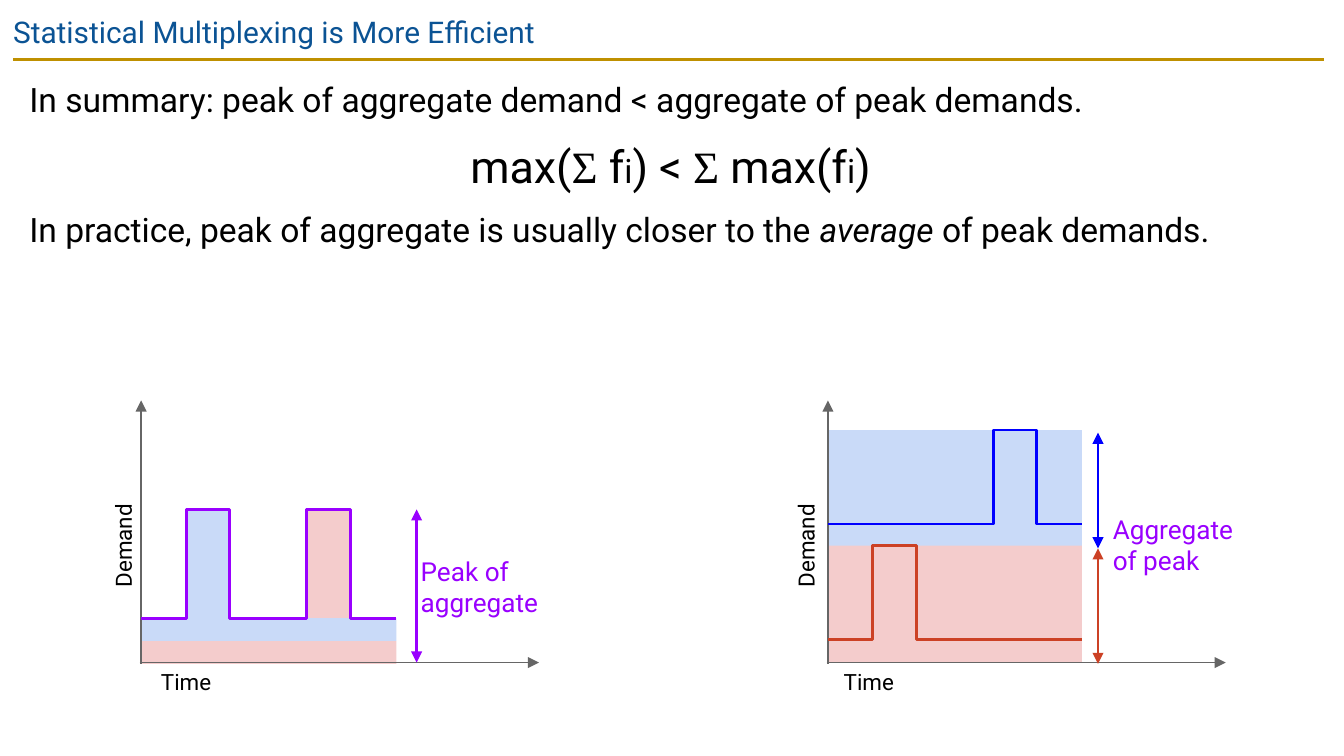
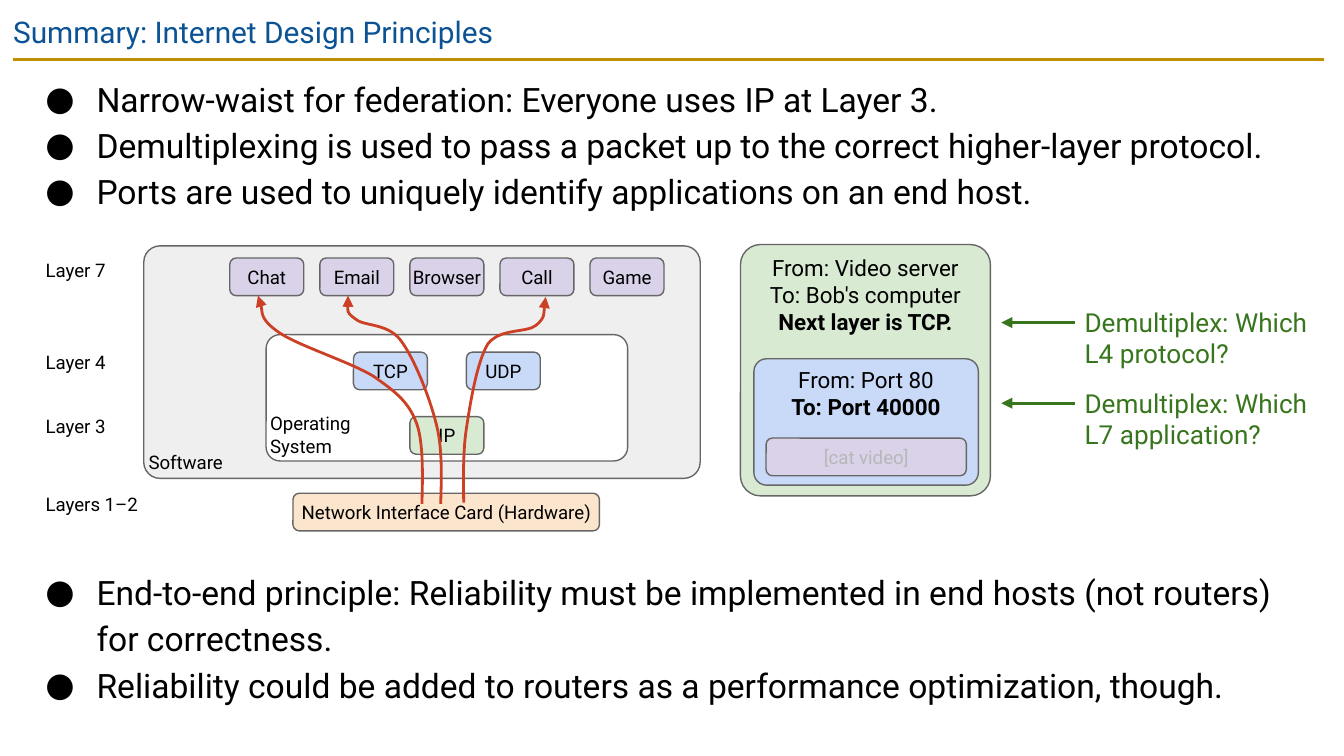
from dataclasses import dataclass, replace
from typing import Any, NamedTuple

from lxml.etree import SubElement
from pptx import Presentation
from pptx.dml.color import RGBColor
from pptx.enum.shapes import MSO_CONNECTOR, MSO_SHAPE
from pptx.enum.text import MSO_ANCHOR, PP_ALIGN
from pptx.oxml.ns import qn
from pptx.util import Pt

PX = 9144  # EMU in one px, 100 px to the inch
SLIDE_WIDTH = 1000 * PX
SLIDE_HEIGHT = SLIDE_WIDTH * 9 // 16

BLACK = RGBColor(0x00, 0x00, 0x00)
WHITE = RGBColor(0xFF, 0xFF, 0xFF)
GREY = RGBColor(0x66, 0x66, 0x66)
MID_GREY = RGBColor(0xB7, 0xB7, 0xB7)
PALE_GREY = RGBColor(0xEF, 0xEF, 0xEF)
TITLE_BLUE = RGBColor(0x0B, 0x53, 0x94)
GOLD = RGBColor(0xBF, 0x90, 0x00)
PALE_BLUE = RGBColor(0xC9, 0xDA, 0xF8)
PALE_RED = RGBColor(0xF4, 0xCC, 0xCC)
PALE_GREEN = RGBColor(0xD9, 0xEA, 0xD3)
PALE_PURPLE = RGBColor(0xD9, 0xD2, 0xE9)
PALE_ORANGE = RGBColor(0xFC, 0xE5, 0xCD)
PURPLE = RGBColor(0x99, 0x00, 0xFF)
BLUE = RGBColor(0x00, 0x00, 0xFF)
RED = RGBColor(0xCC, 0x41, 0x25)
GREEN = RGBColor(0x38, 0x76, 0x1D)

FONT = "Roboto"
Point = tuple[int, int]


class Box(NamedTuple):
    left: int
    top: int
    width: int
    height: int

    def emu(self) -> list[int]:
        return [length * PX for length in self]


class Run(NamedTuple):
    text: str
    font: dict[str, Any] = {}


@dataclass(frozen=True)
class TextStyle:
    size: int
    color: RGBColor = BLACK
    align: PP_ALIGN = PP_ALIGN.LEFT
    anchor: MSO_ANCHOR = MSO_ANCHOR.TOP
    inset: int = 0
    line_spacing: float = 1.0
    space_before: int = 0
    bullet: str = ""


@dataclass(frozen=True)
class Line:
    start: Point
    end: Point
    color: RGBColor
    width: float = 1.5
    ends: tuple[str, ...] = ()


@dataclass(frozen=True)
class Panel:
    box: Box
    fill: RGBColor
    paragraphs: tuple[str | Run, ...]
    style: TextStyle
    corner: float = 0.167


@dataclass(frozen=True)
class Plot:
    origin: int
    labels_left: int


TITLE = TextStyle(16, TITLE_BLUE, inset=10)
BODY = TextStyle(18, inset=10, line_spacing=1.15, space_before=6)
BULLETS = replace(BODY, bullet="●")
AXIS_LABEL = TextStyle(12, align=PP_ALIGN.CENTER, inset=3)
NOTE = TextStyle(14, inset=3)
LAYER_LABEL = TextStyle(10)
CORNER_LABEL = TextStyle(10, anchor=MSO_ANCHOR.BOTTOM)
CHIP = TextStyle(10, align=PP_ALIGN.CENTER, anchor=MSO_ANCHOR.MIDDLE)
PACKET = TextStyle(12, align=PP_ALIGN.CENTER, inset=3)

ONE_ARROW = ("a:tailEnd",)
TWO_ARROWS = ("a:headEnd", "a:tailEnd")
BOLD = {"bold": True}
BASELINE = 493


def apply(target: Any, values: dict[str, Any]) -> None:
    for name, value in values.items():
        setattr(target, name, value)


def write(frame: Any, paragraphs: Any, style: TextStyle) -> None:
    """Fill a text frame; a paragraph is a string, a Run or a list of Runs."""
    sides = ("left", "top", "right", "bottom")
    apply(frame, {f"margin_{side}": style.inset * PX for side in sides})
    apply(frame, {"word_wrap": True, "vertical_anchor": style.anchor})
    for index, content in enumerate(paragraphs):
        paragraph = frame.add_paragraph() if index else frame.paragraphs[0]
        follows_bullet = style.bullet and index
        apply(paragraph, {
            "alignment": style.align,
            "line_spacing": style.line_spacing,
            "space_before": Pt(0 if follows_bullet else style.space_before),
        })
        if style.bullet:
            add_bullet(paragraph, style)
        if isinstance(content, str):
            content = Run(content)
        for part in [content] if isinstance(content, Run) else content:
            run = paragraph.add_run()
            run.text = part.text
            run.font.color.rgb = style.color
            apply(run.font, {"name": FONT, "size": Pt(style.size), **part.font})


def add_bullet(paragraph: Any, style: TextStyle) -> None:
    properties = paragraph._p.get_or_add_pPr()
    properties.set("marL", str(50 * PX))
    properties.set("indent", str(-38 * PX))
    color = SubElement(properties, qn("a:buClr"))
    SubElement(color, qn("a:srgbClr"), val=str(style.color))
    SubElement(properties, qn("a:buSzPts"), val=str(style.size * 100))
    SubElement(properties, qn("a:buFont"), typeface=FONT)
    SubElement(properties, qn("a:buChar"), char=style.bullet)


def add_text(slide: Any, box: Box, paragraphs: Any, style: TextStyle, rotation: int = 0) -> None:
    shape = slide.shapes.add_textbox(*box.emu())
    shape.rotation = rotation
    write(shape.text_frame, paragraphs, style)


def set_line(shape: Any, color: RGBColor, width: float, ends: tuple[str, ...] = ()) -> None:
    shape.line.color.rgb = color
    shape.line.width = Pt(width)
    for end in ends:
        SubElement(shape.line._get_or_add_ln(), qn(end), type="triangle")


def add_line(slide: Any, line: Line) -> None:
    ends = [length * PX for length in line.start + line.end]
    connector = slide.shapes.add_connector(MSO_CONNECTOR.STRAIGHT, *ends)
    set_line(connector, line.color, line.width, line.ends)
    SubElement(connector._element.spPr, qn("a:effectLst"))


def add_area(slide: Any, box: Box, color: RGBColor) -> None:
    shape = slide.shapes.add_shape(MSO_SHAPE.RECTANGLE, *box.emu())
    shape.shadow.inherit = False
    shape.fill.solid()
    shape.fill.fore_color.rgb = color
    shape.line.fill.background()


def add_panel(slide: Any, panel: Panel) -> None:
    shape = slide.shapes.add_shape(MSO_SHAPE.ROUNDED_RECTANGLE, *panel.box.emu())
    shape.adjustments[0] = panel.corner
    shape.shadow.inherit = False
    shape.fill.solid()
    shape.fill.fore_color.rgb = panel.fill
    set_line(shape, GREY, 0.75)
    write(shape.text_frame, panel.paragraphs, panel.style)


def add_outline(slide: Any, points: list[Point], color: RGBColor, ends: tuple[str, ...] = ()) -> Any:
    builder = slide.shapes.build_freeform(*points[0], scale=float(PX))
    builder.add_line_segments(points[1:], close=False)
    shape = builder.convert_to_shape()
    shape.shadow.inherit = False
    shape.fill.background()
    set_line(shape, color, 1.5, ends)
    return shape


def add_curve(slide: Any, points: list[Point], color: RGBColor) -> None:
    """Draw an arrow of cubic curves: a start, then three points per curve."""
    shape = add_outline(slide, points, color, ONE_ARROW)
    outline = next(shape._element.iter(qn("a:lnTo"))).getparent()
    segments = outline.findall(qn("a:lnTo"))
    for index in range(0, len(segments), 3):
        curve = SubElement(outline, qn("a:cubicBezTo"))
        for segment in segments[index:index + 3]:
            curve.append(segment[0])
            outline.remove(segment)


def add_axes(slide: Any, plot: Plot) -> None:
    left = plot.origin
    for start, end in (
        ((left - 1, BASELINE), (left + 296, BASELINE)),
        ((left, BASELINE + 1), (left, 298)),
    ):
        add_line(slide, Line(start, end, GREY, 0.75, ONE_ARROW))
    add_text(slide, Box(plot.labels_left + 61, 494, 53, 26), ["Time"], AXIS_LABEL)
    add_text(slide, Box(plot.labels_left, 393, 81, 26), ["Demand"], AXIS_LABEL, 270)


def start_slide(presentation: Any, title: str) -> Any:
    slide = presentation.slides.add_slide(presentation.slide_layouts[6])
    add_line(slide, Line((10, 44), (985, 44), GOLD))
    add_text(slide, Box(0, 0, 1000, 43), [title], TITLE)
    return slide


def build_multiplexing(presentation: Any) -> None:
    slide = start_slide(presentation, "Statistical Multiplexing is More Efficient")
    for box, color in (
        (Box(616, 320, 189, 87), PALE_BLUE),
        (Box(616, 406, 189, 87), PALE_RED),
        (Box(229, 380, 32, 81), PALE_RED),
        (Box(139, 380, 32, 81), PALE_BLUE),
        (Box(105, 477, 190, 17), PALE_RED),
        (Box(105, 460, 190, 17), PALE_BLUE),
    ):
        add_area(slide, box, color)

    large, index = {"size": Pt(24)}, Run("i")
    sigma = Run("Σ", {**large, "name": "Times New Roman"})
    formula = [
        Run("max(", large), sigma, Run(" f", large), index, Run(") < ", large),
        sigma, Run(" max(f", large), index, Run(")", large),
    ]
    add_text(slide, Box(12, 44, 974, 168), [
        "In summary: peak of aggregate demand < aggregate of peak demands.",
        formula,
        [Run("In practice, peak of aggregate is usually closer to the "),
         Run("average", {"italic": True}), Run(" of peak demands.")],
    ], BODY)
    slide.shapes[-1].text_frame.paragraphs[1].alignment = PP_ALIGN.CENTER

    for plot in (Plot(105, 51), Plot(616, 559)):
        add_axes(slide, plot)
    for color, points in (
        (PURPLE, [(105, 460), (139, 460), (139, 379), (171, 379), (171, 460),
                  (228, 460), (228, 379), (261, 379), (261, 460), (295, 460)]),
        (RED, [(616, 476), (649, 476), (649, 406), (682, 406), (682, 476), (805, 476)]),
        (BLUE, [(805, 390), (771, 390), (771, 320), (739, 320), (739, 390), (616, 390)]),
    ):
        add_outline(slide, points, color)
    for left, bottom, top, color in (
        (310, 493, 379, PURPLE), (817, 494, 408, RED), (817, 408, 322, BLUE),
    ):
        add_line(slide, Line((left, bottom), (left, top), color, ends=TWO_ARROWS))
    for left, top, text in ((310, 410, "Peak of aggregate"), (825, 379, "Aggregate of peak")):
        add_text(slide, Box(left, top, 96, 53), [text], replace(NOTE, color=PURPLE))


def build_principles(presentation: Any) -> None:
    slide = start_slide(presentation, "Summary: Internet Design Principles")
    for top, bullets in (
        (44, ["Narrow-waist for federation: Everyone uses IP at Layer 3.",
              "Demultiplexing is used to pass a packet up to the correct higher-layer protocol.",
              "Ports are used to uniquely identify applications on an end host."]),
        (411, ["End-to-end principle: Reliability must be implemented in end hosts "
               "(not routers) for correctness.",
               "Reliability could be added to routers as a performance optimization, though."]),
    ):
        add_text(slide, Box(12, top, 974, 133), bullets, BULLETS)

    chips = [(305, 310, PALE_GREEN, "IP"), (263, 262, PALE_BLUE, "TCP"), (347, 262, PALE_BLUE, "UDP")]
    applications = ("Chat", "Email", "Browser", "Call", "Game")
    chips += [(171 + 67 * column, 192, PALE_PURPLE, name) for column, name in enumerate(applications)]
    for panel in (
        Panel(Box(107, 183, 414, 173), PALE_GREY, ("Software",), CORNER_LABEL, 0.07),
        Panel(Box(198, 249, 269, 94), WHITE, ("Operating", "System"), CORNER_LABEL, 0.11),
        Panel(Box(218, 367, 228, 28), PALE_ORANGE, ("Network Interface Card (Hardware)",), CHIP),
        *(Panel(Box(left, top, 55, 28), fill, (name,), CHIP) for left, top, fill, name in chips),
        Panel(Box(551, 182, 186, 187), PALE_GREEN,
              ("From: Video server", "To: Bob's computer", Run("Next layer is TCP.", BOLD)), PACKET, 0.08),
        Panel(Box(561, 267, 167, 94), PALE_BLUE,
              ("From: Port 80", Run("To: Port 40000", BOLD)), PACKET, 0.1),
        Panel(Box(570, 326, 149, 28), PALE_PURPLE, ("[cat video]",), replace(CHIP, color=MID_GREY)),
    ):
        add_panel(slide, panel)

    for top, name in ((367, "Layers 1–2"), (309, "Layer 3"), (261, "Layer 4"), (193, "Layer 7")):
        add_text(slide, Box(34, top, 77, 17), [name], LAYER_LABEL)
    for points in (
        [(314, 375), (314, 365), (316, 331), (310, 315), (304, 299), (295, 292), (278, 280),
         (260, 269), (221, 257), (207, 247), (193, 237), (195, 224), (192, 220)],
        [(328, 375), (328, 365), (330, 337), (325, 317), (320, 296), (308, 266), (298, 253),
         (288, 240), (270, 243), (264, 237), (257, 232), (259, 223), (259, 220)],
        [(345, 374), (345, 365), (344, 338), (347, 319), (350, 299), (355, 269), (363, 256),
         (372, 244), (392, 248), (399, 242), (406, 236), (405, 224), (406, 221)],
    ):
        add_curve(slide, points, RED)

    for top, width, target in ((240, 176, "L4 protocol?"), (300, 186, "L7 application?")):
        add_line(slide, Line((800, top), (745, top), GREEN, ends=ONE_ARROW))
        add_text(slide, Box(804, top - 15, width, 53), [f"Demultiplex: Which {target}"],
                 replace(NOTE, color=GREEN))


def main() -> None:
    presentation = Presentation()
    apply(presentation, {"slide_width": SLIDE_WIDTH, "slide_height": SLIDE_HEIGHT})
    build_multiplexing(presentation)
    build_principles(presentation)
    presentation.save("out.pptx")


if __name__ == "__main__":
    main()
